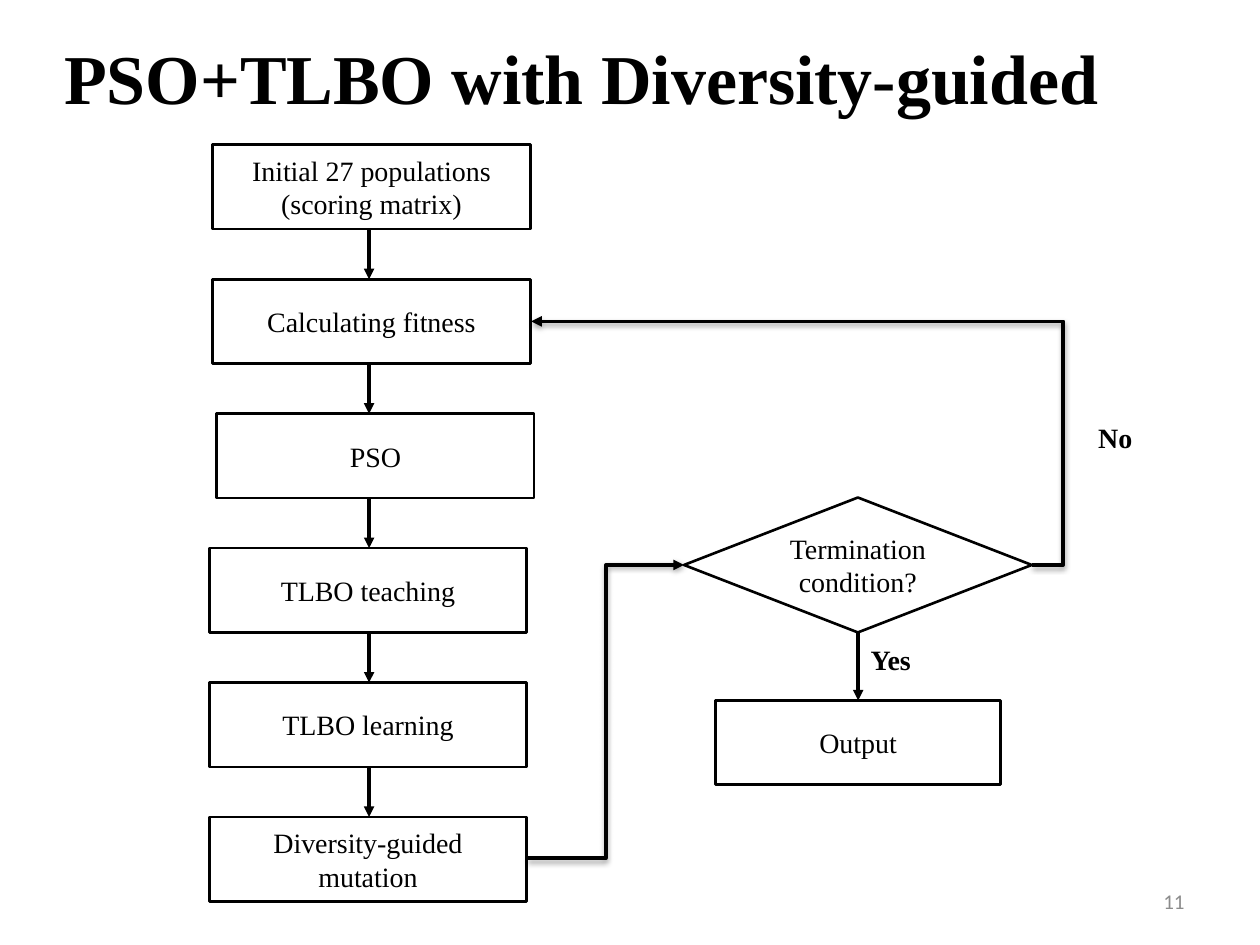
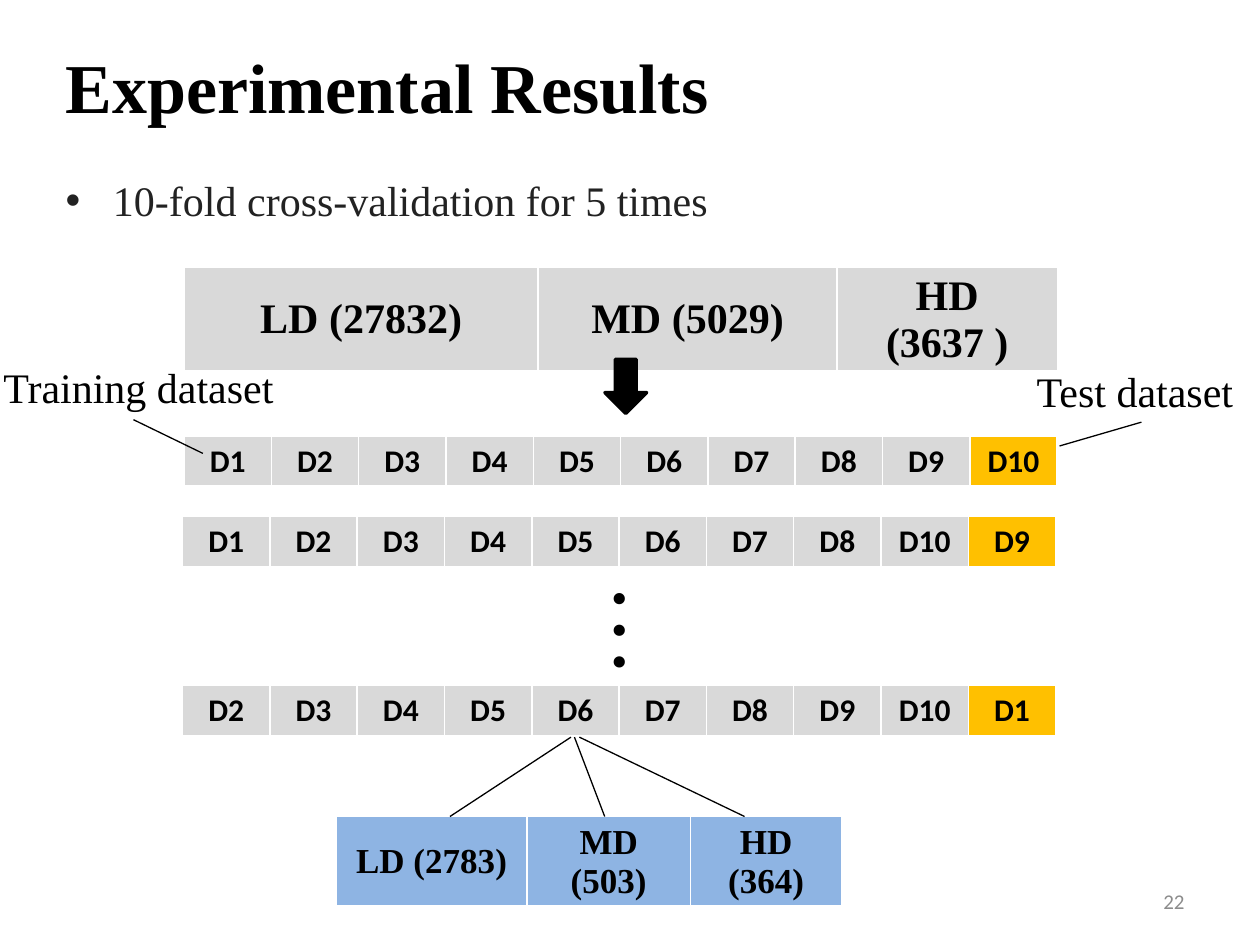
"""Build two slides: an optimisation flowchart and a cross-validation scheme."""
from typing import NamedTuple

from lxml.etree import SubElement
from pptx import Presentation
from pptx.dml.color import RGBColor
from pptx.enum.shapes import MSO_CONNECTOR as Conn, MSO_SHAPE as Geo
from pptx.enum.text import MSO_ANCHOR as Anchor, MSO_AUTO_SIZE as AutoSize, PP_ALIGN as Align
from pptx.oxml.ns import qn
from pptx.util import Cm, Pt

BLACK, WHITE, GRAY, GOLD, BLUE = "000000", "FFFFFF", "D9D9D9", "FFC000", "8EB4E3"
INK, PAGE_GRAY = "222222", "8C8C8C"
SERIF, SANS = "Times New Roman", "Calibri"


class Box(NamedTuple):
    x: float
    y: float
    w: float
    h: float


class Node(NamedTuple):
    text: str
    box: Box
    geo: Geo = Geo.RECTANGLE


class Link(NamedTuple):
    x1: float
    y1: float
    x2: float
    y2: float


class Strip(NamedTuple):
    box: Box
    cells: list[str]
    widths: list[float]
    fills: list[str]
    size: int
    font: str = SERIF
    anchor: Anchor = Anchor.MIDDLE


def rgb(code: str) -> RGBColor:
    return RGBColor.from_string(code)


def cms(values) -> list:
    return [Cm(v) for v in values]


def write(tf, text: str, size=16, font=SERIF, color=BLACK, bold=False,
          align=Align.LEFT, anchor=Anchor.TOP) -> None:
    tf.word_wrap = True
    tf.auto_size = AutoSize.NONE
    tf.vertical_anchor = anchor
    tf.text = text
    for p in tf.paragraphs:
        p.alignment = align
        p.space_before = Pt(0)
        for r in p.runs:
            r.font.size, r.font.name, r.font.bold = Pt(size), font, bold
            r.font.color.rgb = rgb(color)


def place(sp, box: Box) -> None:
    sp.left, sp.top, sp.width, sp.height = cms(box)


def add_text(s, text: str, box: Box, **fmt):
    sp = s.shapes.add_textbox(*cms(box))
    write(sp.text_frame, text, **fmt)
    return sp


def add_shape(s, geo: Geo, box: Box, fill: str, width: float):
    sp = s.shapes.add_shape(geo, *cms(box))
    sp.shadow.inherit = False
    sp.fill.solid()
    sp.fill.fore_color.rgb = rgb(fill)
    sp.line.color.rgb = rgb(BLACK)
    sp.line.width = Pt(width)
    return sp


def add_node(s, node: Node) -> None:
    sp = add_shape(s, node.geo, node.box, WHITE, 1.5)
    write(sp.text_frame, node.text, align=Align.CENTER, anchor=Anchor.MIDDLE)


def add_line(s, link: Link, kind=Conn.STRAIGHT, width=0.75, arrow=False):
    c = s.shapes.add_connector(kind, *cms(link))
    c.line.color.rgb = rgb(BLACK)
    c.line.width = Pt(width)
    pr = c.element.spPr
    if arrow:
        SubElement(pr.find(qn("a:ln")), qn("a:tailEnd"), type="triangle")
    SubElement(pr, qn("a:effectLst"))
    return c


def add_elbow(s, link: Link, bend: int) -> None:
    pr = add_line(s, link, Conn.ELBOW, 2, True).element.spPr
    guides = pr.find(qn("a:prstGeom")).find(qn("a:avLst"))
    SubElement(guides, qn("a:gd"), name="adj1", fmla=f"val {bend}")
    shadow = SubElement(pr.find(qn("a:effectLst")), qn("a:outerShdw"),
                        blurRad="40000", dist="20000", dir="5400000", rotWithShape="0")
    tint = SubElement(shadow, qn("a:srgbClr"), val=BLACK)
    SubElement(tint, qn("a:alpha"), val="38000")


def add_borders(cell) -> None:
    pr = cell._tc.get_or_add_tcPr()
    for side, width in (("L", 1), ("R", 1), ("T", 1), ("B", 3)):
        ln = SubElement(pr, qn(f"a:ln{side}"), w=str(Pt(width)))
        SubElement(SubElement(ln, qn("a:solidFill")), qn("a:srgbClr"), val=WHITE)


def add_strip(s, strip: Strip) -> None:
    tbl = s.shapes.add_table(1, len(strip.cells), *cms(strip.box)).table
    tbl.first_row = tbl.horz_banding = False
    for i, (text, width, fill) in enumerate(zip(strip.cells, strip.widths, strip.fills)):
        tbl.columns[i].width = Cm(width)
        cell = tbl.cell(0, i)
        add_borders(cell)
        cell.fill.solid()
        cell.fill.fore_color.rgb = rgb(fill)
        write(cell.text_frame, text, size=strip.size, font=strip.font, bold=True,
              align=Align.CENTER)
        cell.vertical_anchor = strip.anchor


def add_slide(prs, layout: int, title: str, x: float, y: float, page: int):
    s = prs.slides.add_slide(prs.slide_layouts[layout])
    place(s.shapes.title, Box(x, y, 24.33, 1.96))
    write(s.shapes.title.text_frame, title, size=40, bold=True)
    add_text(s, str(page), Box(18.21, 17.65, 5.92, 1.02), size=12, font=SANS,
             color=PAGE_GRAY, align=Align.RIGHT, anchor=Anchor.MIDDLE)
    return s


def build_flowchart(prs) -> None:
    s = add_slide(prs, 5, "PSO+TLBO with Diversity-guided", 1.04, 0.56, 11)
    steps = [("Initial 27 populations\n(scoring matrix)", 4.29), ("Calculating fitness", 4.29),
             ("PSO", 4.37), ("TLBO teaching", 4.22), ("TLBO learning", 4.22),
             ("Diversity-guided\nmutation", 4.22)]
    top, pitch, height = 2.92, 2.71, 1.7
    for i, (text, x) in enumerate(steps):
        y = top + i * pitch
        add_node(s, Node(text, Box(x, y, 6.4, height)))
        if i:
            add_line(s, Link(7.44, y - pitch + height, 7.44, y), width=2, arrow=True)
    add_node(s, Node("Termination condition?", Box(13.79, 10.03, 7.01, 2.72),
                     Geo.FLOWCHART_DECISION))
    add_node(s, Node("Output", Box(14.43, 14.12, 5.74, height)))
    add_line(s, Link(17.3, 12.75, 17.3, 14.12), width=2, arrow=True)
    add_elbow(s, Link(20.8, 11.39, 10.71, 6.48), -6300)
    add_elbow(s, Link(10.64, 17.3, 13.79, 11.39), 50000)
    add_text(s, "Yes", Box(17.3, 12.83, 1.6, 0.94), bold=True)
    add_text(s, "No", Box(21.89, 8.36, 1.57, 0.99), bold=True)


def build_validation(prs) -> None:
    s = add_slide(prs, 1, "Experimental Results", 1.07, 0.74, 22)
    body = s.placeholders[1]
    place(body, Box(1.07, 3.4, 22.58, 1.27))
    write(body.text_frame, "10-fold cross-validation for 5 times", size=24, color=INK)

    add_strip(s, Strip(Box(3.71, 5.38, 17.61, 1.52), ["LD (27832)", "MD (5029)", "HD (3637 )"],
                       [7.14, 6.02, 4.45], [GRAY] * 3, 24))
    arrow = add_shape(s, Geo.RIGHT_ARROW, Box(12.07, 7.37, 1.09, 0.84), BLACK, 2)
    arrow.rotation = 90
    for x, y, test in ((3.71, 8.79, 10), (3.68, 10.41, 9), (3.68, 13.82, 1)):
        folds = [n for n in range(1, 11) if n != test] + [test]
        add_strip(s, Strip(Box(x, y, 17.6, 1.04), [f"D{n}" for n in folds], [1.76] * 10,
                           [GRAY] * 9 + [GOLD], 18, SANS, Anchor.TOP))
    dots = add_text(s, "…", Box(6.81, 11.43, 12.7, 2.57), size=54, align=Align.CENTER)
    dots.rotation = 90
    add_strip(s, Strip(Box(6.78, 16.46, 10.19, 1.52), ["LD (2783)", "MD (503)", "HD (364)"],
                       [3.84, 3.3, 3.05], [BLUE] * 3, 20))

    add_text(s, "Test dataset", Box(20.65, 7.24, 4.7, 1.27), size=24)
    add_text(s, "Training dataset", Box(-0.18, 7.16, 6.96, 1.27), size=24)
    for link in (Link(21.36, 8.99, 23.01, 8.51), Link(2.69, 8.46, 4.09, 9.14),
                 Link(11.51, 14.86, 9.07, 16.46), Link(11.58, 14.86, 12.19, 16.46),
                 Link(11.68, 14.86, 15.01, 16.46)):
        add_line(s, link)


def main() -> None:
    prs = Presentation()
    prs.slide_width, prs.slide_height = Cm(25.4), Cm(19.05)
    build_flowchart(prs)
    build_validation(prs)
    prs.save("out.pptx")


if __name__ == "__main__":
    main()
